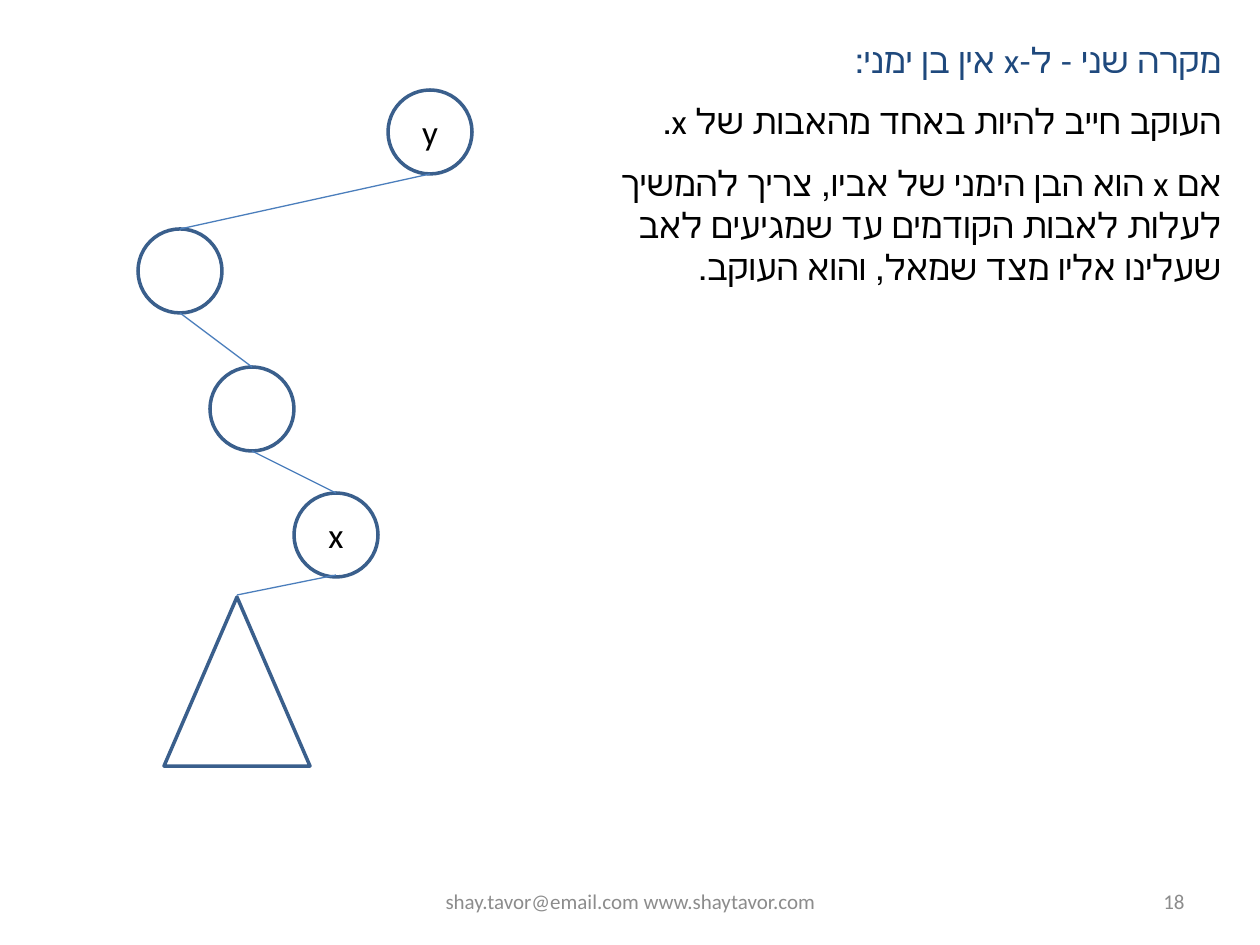
from dataclasses import dataclass

import pptx
import pptx.dml.color
import pptx.enum.lang
import pptx.enum.shapes
import pptx.enum.text
import pptx.oxml
import pptx.oxml.ns
import pptx.util

EMU_PER_PX = 914400 / 126
FONT = "Calibri"
NODE_SIZE = 84
COLORS = {
    "outline": "3A5F8C",
    "edge": "4B7EBC",
    "heading": "1F497D",
    "text": "000000",
    "footer": "8C8C8C",
}
ALIGN = pptx.enum.text.PP_ALIGN
ANCHOR = pptx.enum.text.MSO_ANCHOR
SHAPE = pptx.enum.shapes.MSO_SHAPE


@dataclass(frozen=True)
class Box:
    left: int
    top: int
    width: int
    height: int

    def emu(self) -> list[int]:
        return [px(v) for v in (self.left, self.top, self.width, self.height)]


@dataclass(frozen=True)
class Node:
    left: int
    top: int
    label: str = ""

    @property
    def upper(self) -> tuple[int, int]:
        return self.left + NODE_SIZE // 2, self.top

    @property
    def lower(self) -> tuple[int, int]:
        return self.left + NODE_SIZE // 2, self.top + NODE_SIZE


def px(value: int) -> int:
    return round(value * EMU_PER_PX)


def rgb(name: str) -> pptx.dml.color.RGBColor:
    return pptx.dml.color.RGBColor.from_string(COLORS[name])


def write(shape, text: str, size: int, color: str, align, anchor):
    frame = shape.text_frame
    frame.word_wrap = True
    frame.vertical_anchor = anchor
    paragraph = frame.paragraphs[0]
    paragraph.alignment = align
    run = paragraph.add_run()
    run.text = text
    run.font.size = pptx.util.Pt(size)
    run.font.name = FONT
    run.font.color.rgb = rgb(color)
    return paragraph


def write_hebrew(shape, text: str, color: str) -> None:
    """Write right to left; Hebrew letters take the theme's complex-script font."""
    paragraph = write(shape, text, 20, color, ALIGN.RIGHT, ANCHOR.TOP)
    paragraph._p.get_or_add_pPr().set("rtl", "1")
    paragraph.runs[0].font.language_id = pptx.enum.lang.MSO_LANGUAGE_ID.HEBREW


def add_outline(slide, kind, box: Box):
    shape = slide.shapes.add_shape(kind, *box.emu())
    shape.shadow.inherit = False
    shape.fill.background()
    shape.line.color.rgb = rgb("outline")
    shape.line.width = pptx.util.Pt(2)
    return shape


def add_node(slide, node: Node) -> None:
    shape = add_outline(slide, SHAPE.OVAL, Box(node.left, node.top, NODE_SIZE, NODE_SIZE))
    if node.label:
        write(shape, node.label, 20, "text", ALIGN.CENTER, ANCHOR.MIDDLE)


def add_edge(slide, start: tuple[int, int], end: tuple[int, int]) -> None:
    connector = slide.shapes.add_connector(
        pptx.enum.shapes.MSO_CONNECTOR.STRAIGHT, *map(px, start + end)
    )
    connector.line.color.rgb = rgb("edge")
    connector.line.width = pptx.util.Pt(0.75)
    connector._element.spPr.append(
        pptx.oxml.parse_xml(f'<a:effectLst {pptx.oxml.ns.nsdecls("a")}/>')
    )


def main() -> None:
    presentation = pptx.Presentation()
    presentation.slide_width = px(1260)
    presentation.slide_height = px(945)
    slide = presentation.slides.add_slide(presentation.slide_layouts[5])

    title = slide.shapes.title
    title.left, title.top, title.width, title.height = Box(572, 32, 662, 55).emu()
    write_hebrew(title, "מקרה שני - ל-x אין בן ימני:", "heading")

    explanations = [
        (Box(572, 93, 662, 55), "העוקב חייב להיות באחד מהאבות של x."),
        (
            Box(572, 155, 662, 140),
            "אם x הוא הבן הימני של אביו, צריך להמשיך לעלות לאבות הקודמים "
            "עד שמגיעים לאב שעלינו אליו מצד שמאל, והוא העוקב.",
        ),
    ]
    for box, text in explanations:
        write_hebrew(slide.shapes.add_textbox(*box.emu()), text, "text")

    path_nodes = [Node(388, 90, "y"), Node(138, 229), Node(210, 367), Node(294, 493, "x")]
    for node in path_nodes:
        add_node(slide, node)
    for parent, child in zip(path_nodes, path_nodes[1:]):
        add_edge(slide, parent.lower, child.upper)

    subtree = Box(164, 597, 146, 169)
    add_outline(slide, SHAPE.ISOSCELES_TRIANGLE, subtree)
    add_edge(slide, (336, 575), (237, 595))

    footers = [
        (Box(431, 876, 399, 50), "shay.tavor@email.com www.shaytavor.com", ALIGN.CENTER),
        (Box(903, 876, 294, 50), "18", ALIGN.RIGHT),
    ]
    for box, text, align in footers:
        footer = slide.shapes.add_textbox(*box.emu())
        write(footer, text, 12, "footer", align, ANCHOR.MIDDLE)

    presentation.save("out.pptx")


if __name__ == "__main__":
    main()
